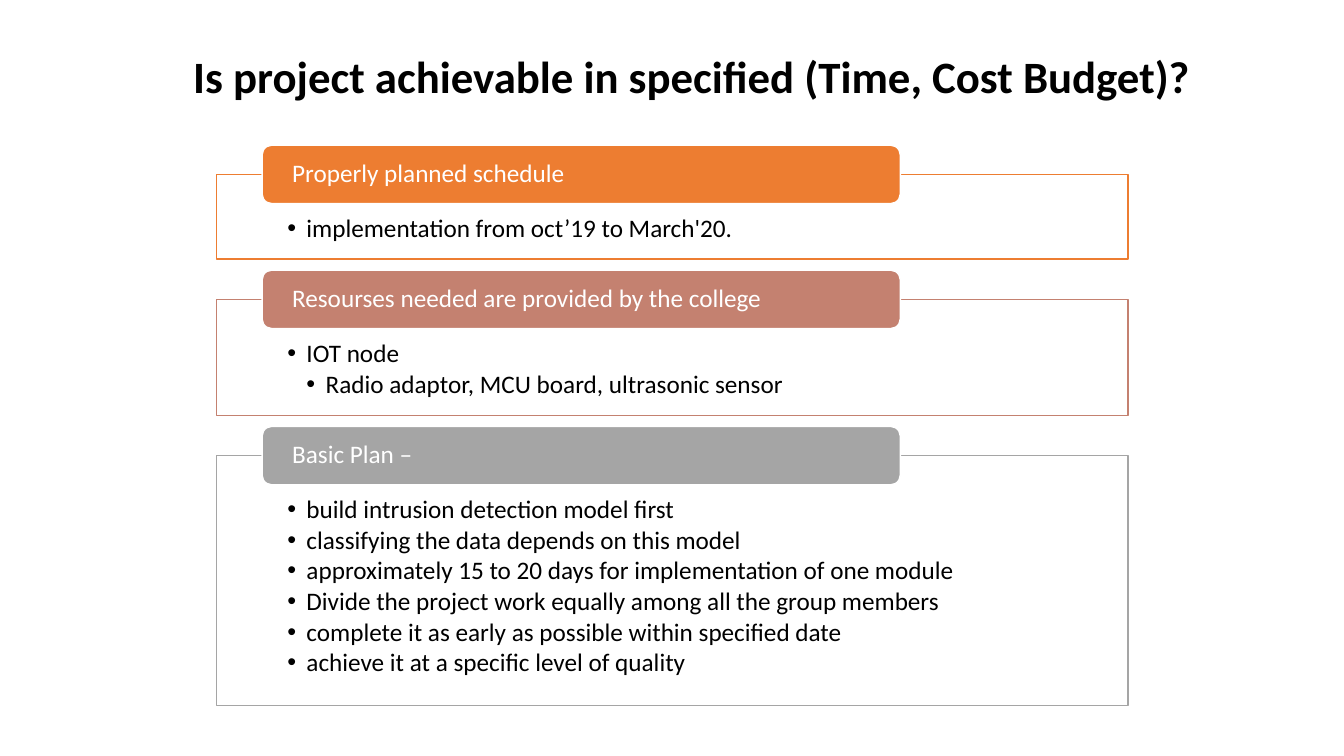
from lxml.etree import SubElement
from pptx import Presentation
from pptx.dml.color import RGBColor
from pptx.enum.shapes import MSO_SHAPE as Shape
from pptx.enum.text import MSO_ANCHOR as Anchor, PP_ALIGN as Align
from pptx.oxml.ns import qn
from pptx.util import Inches, Pt

BLACK = RGBColor(0x00, 0x00, 0x00)
WHITE = RGBColor(0xFF, 0xFF, 0xFF)
ORANGE = RGBColor(0xED, 0x7D, 0x31)
ROSE = RGBColor(0xC4, 0x81, 0x70)
GRAY = RGBColor(0xA5, 0xA5, 0xA5)

FONT = "Calibri"
PANEL_LEFT, PANEL_WIDTH = 2.15, 9.04
TAB_LEFT, TAB_WIDTH, TAB_HEIGHT = 2.6, 6.33, 0.58
FIRST_TAB_TOP, SECTION_GAP = 1.44, 0.11
HANGING = 0.19

SECTIONS = [
    ("Properly planned schedule", ORANGE, 0.84,
     [(1, "implementation from oct’19 to March'20.")]),
    ("Resourses needed are provided by the college", ROSE, 1.15,
     [(1, "IOT node"),
      (2, "Radio adaptor, MCU board, ultrasonic sensor")]),
    ("Basic Plan –", GRAY, 2.48,
     [(1, "build intrusion detection model first"),
      (1, "classifying the data depends on this model"),
      (1, "approximately 15 to 20 days for implementation of one module"),
      (1, "Divide the project work equally among all the group members"),
      (1, "complete it as early as possible within specified date"),
      (1, "achieve it at a specific level of quality")]),
]


def write(paragraph, text, size=18, color=BLACK, bold=False,
          align=Align.LEFT, spacing=0.9, after=0):
    """Put formatted text into a paragraph."""
    paragraph.alignment = align
    paragraph.line_spacing = spacing
    paragraph.space_after = Pt(after)
    run = paragraph.add_run()
    run.text = text
    run.font.name = FONT
    run.font.size = Pt(size)
    run.font.bold = bold
    run.font.color.rgb = color


def add_bullet(paragraph, level):
    """Give a paragraph a round bullet with a hanging indent."""
    paragraph.level = level
    properties = paragraph._p.get_or_add_pPr()
    properties.set("marL", str(Inches(HANGING * level)))
    properties.set("indent", str(-Inches(HANGING)))
    SubElement(properties, qn("a:buFont"), typeface="Arial")
    SubElement(properties, qn("a:buChar"), char="•")


def set_frame(frame, anchor, side=0, top=0, bottom=0):
    """Set wrapping, anchor and insets of a text frame."""
    frame.word_wrap = True
    frame.vertical_anchor = anchor
    frame.margin_left = frame.margin_right = Inches(side)
    frame.margin_top, frame.margin_bottom = Inches(top), Inches(bottom)


def add_block(slide, kind, left, top, width, height, fill, line):
    """Add a filled, outlined shape without a shadow."""
    block = slide.shapes.add_shape(
        kind, Inches(left), Inches(top), Inches(width), Inches(height))
    block.shadow.inherit = False
    block.fill.solid()
    block.fill.fore_color.rgb = fill
    block.line.color.rgb = line
    block.line.width = Pt(1)
    return block


def add_panel(slide, top, height, color, bullets):
    """Add an outlined panel holding a bulleted list."""
    panel = add_block(slide, Shape.RECTANGLE, PANEL_LEFT, top,
                      PANEL_WIDTH, height, WHITE, color)
    frame = panel.text_frame
    set_frame(frame, Anchor.TOP, side=0.7, top=0.41, bottom=0.14)
    for index, (level, text) in enumerate(bullets):
        paragraph = frame.add_paragraph() if index else frame.paragraphs[0]
        write(paragraph, text, after=2.4)
        add_bullet(paragraph, level)


def add_tab(slide, top, color, heading):
    """Add the rounded heading that overlaps a panel."""
    tab = add_block(slide, Shape.ROUNDED_RECTANGLE, TAB_LEFT, top,
                    TAB_WIDTH, TAB_HEIGHT, color, WHITE)
    set_frame(tab.text_frame, Anchor.MIDDLE, side=0.27)
    write(tab.text_frame.paragraphs[0], heading, color=WHITE)


def add_title(slide, text):
    """Move and fill the title placeholder."""
    title = slide.shapes.title
    title.left, title.top = Inches(0.96), Inches(0.43)
    title.width, title.height = Inches(11.81), Inches(0.64)
    set_frame(title.text_frame, Anchor.TOP, side=0.1, top=0.05, bottom=0.05)
    write(title.text_frame.paragraphs[0], text, size=32, bold=True,
          align=Align.CENTER, spacing=1.0)


def main():
    """Build and save the slide."""
    deck = Presentation()
    deck.slide_width, deck.slide_height = Inches(13.33), Inches(7.5)
    slide = deck.slides.add_slide(deck.slide_layouts[5])
    add_title(slide, "Is project achievable in specified (Time, Cost Budget)?")
    tab_top = FIRST_TAB_TOP
    for heading, color, height, bullets in SECTIONS:
        panel_top = tab_top + TAB_HEIGHT / 2
        add_panel(slide, panel_top, height, color, bullets)
        add_tab(slide, tab_top, color, heading)
        tab_top = panel_top + height + SECTION_GAP
    deck.save("out.pptx")


if __name__ == "__main__":
    main()
